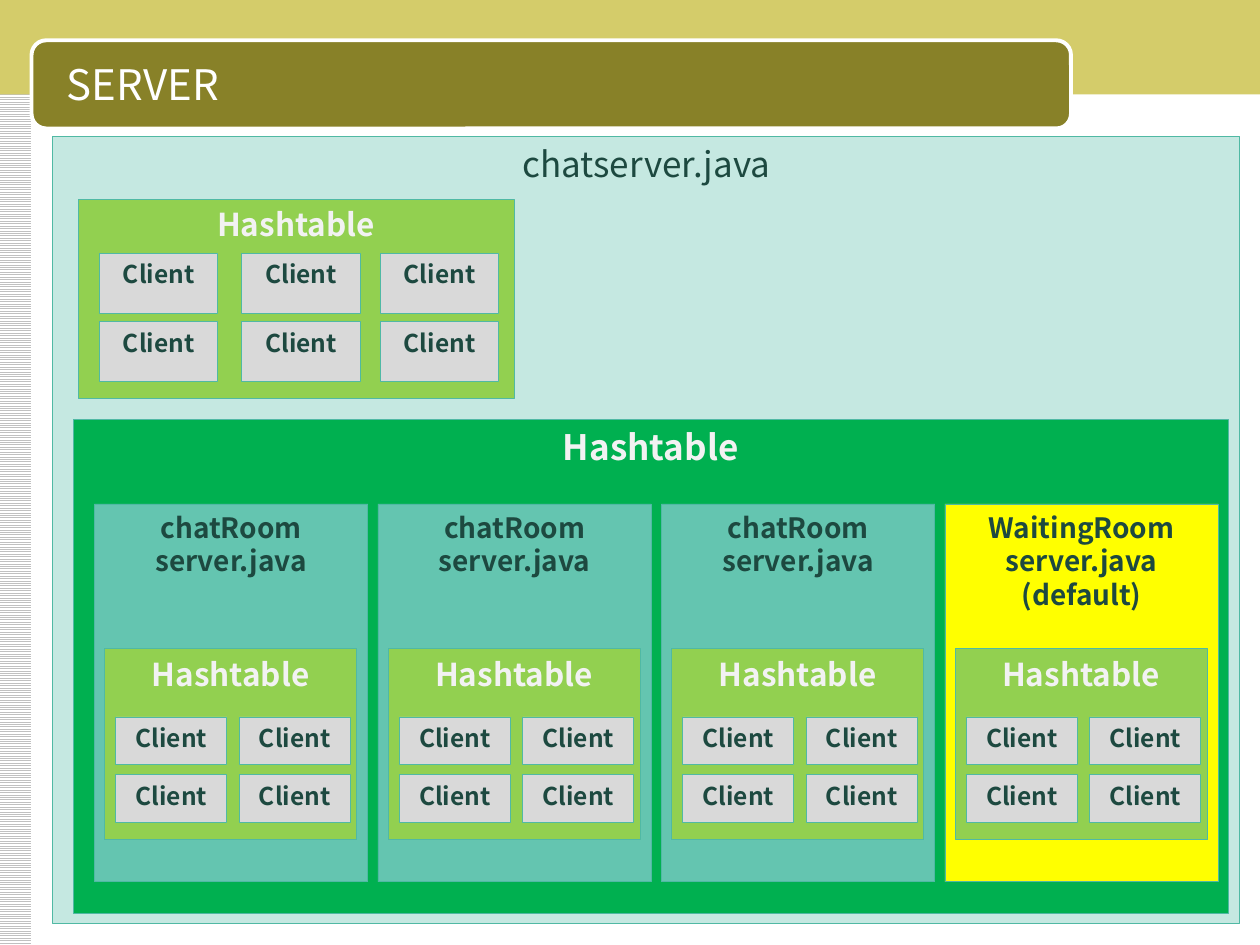
from dataclasses import dataclass
from pptx import Presentation
from pptx.dml.color import RGBColor
from pptx.enum.dml import MSO_PATTERN
from pptx.enum.shapes import MSO_SHAPE
from pptx.enum.text import MSO_ANCHOR, PP_ALIGN
from pptx.util import Inches, Pt

RECT, ROUNDED = MSO_SHAPE.RECTANGLE, MSO_SHAPE.ROUNDED_RECTANGLE
TOP, MIDDLE = MSO_ANCHOR.TOP, MSO_ANCHOR.MIDDLE
CENTER = PP_ALIGN.CENTER
STRIPES = MSO_PATTERN.LIGHT_HORIZONTAL


@dataclass(frozen=True)
class Theme:
    font: str = "Noto Sans CJK KR"
    white: str = "FFFFFF"
    stripe: str = "C0C0C0"
    band: str = "D4CC6A"
    title_bar: str = "888128"
    outline: str = "50B9A4"
    server: str = "C5E8E1"
    room_table: str = "00B050"
    room: str = "64C5B0"
    waiting_room: str = "FFFF00"
    client_table: str = "92D050"
    client: str = "D9D9D9"
    dark: str = "1D4940"
    light: str = "F2F2F2"
    title_size: int = 24
    heading_size: int = 20
    table_size: int = 18
    room_size: int = 16
    client_size: int = 14


THEME = Theme()


def rgb(value):
    return RGBColor.from_string(value)


def write(frame, lines, size, color, bold=False, align=None):
    for index, line in enumerate(lines):
        paragraph = frame.paragraphs[0] if index == 0 else frame.add_paragraph()
        paragraph.alignment = align
        run = paragraph.add_run()
        run.text = line
        run.font.name = THEME.font
        run.font.size = Pt(size)
        run.font.bold = bold
        run.font.color.rgb = rgb(color)


def add_box(shapes, box, fill, outline=None, weight=0.5, kind=RECT):
    shape = shapes.add_shape(kind, *map(Inches, box))
    shape.shadow.inherit = False
    shape.fill.solid()
    shape.fill.fore_color.rgb = rgb(fill)
    if outline:
        shape.line.color.rgb = rgb(outline)
        shape.line.width = Pt(weight)
    else:
        shape.line.fill.background()
    return shape


def add_block(shapes, box, fill, lines, size, color=THEME.dark, bold=True):
    frame = add_box(shapes, box, fill, THEME.outline).text_frame
    frame.word_wrap = False
    frame.vertical_anchor = TOP
    write(frame, lines, size, color, bold, CENTER)


def add_backdrop(shapes, width, height):
    stripes = add_box(shapes, (-0.01, 0, 0.26, height), THEME.white)
    stripes.fill.patterned()
    stripes.fill.pattern = STRIPES
    stripes.fill.fore_color.rgb = rgb(THEME.stripe)
    stripes.fill.back_color.rgb = rgb(THEME.white)
    add_box(shapes, (-0.01, 0, width + 0.02, 0.75), THEME.band)


def add_title(shapes, box, text):
    left, top, width, height = box
    add_box(shapes, box, THEME.title_bar, THEME.white, 2.25, ROUNDED)
    label = shapes.add_textbox(Inches(left + 0.08), Inches(top + 0.03),
                               Inches(width - 0.17), Inches(height - 0.08))
    frame = label.text_frame
    frame.word_wrap = True
    frame.margin_left = Inches(0.2)
    frame.vertical_anchor = MIDDLE
    write(frame, [text], THEME.title_size, THEME.white)


def add_client_table(shapes, box, columns, rows, client_size):
    """Columns and rows are client offsets from the table's corner."""
    left, top = box[:2]
    add_block(shapes, box, THEME.client_table, ["Hashtable"],
              THEME.table_size, THEME.light)
    for x in columns:
        for y in rows:
            add_block(shapes, (left + x, top + y, *client_size), THEME.client,
                      ["Client"], THEME.client_size)


def add_room(shapes, box, fill, lines):
    left, top = box[:2]
    add_block(shapes, box, fill, lines, THEME.room_size)
    table = shapes.add_group_shape().shapes
    add_client_table(table, (left + 0.08, top + 1.15, 2, 1.51),
                     (0.09, 1.07), (0.54, 1), (0.88, 0.38))


def add_room_table(shapes, box):
    left, top = box[:2]
    add_block(shapes, box, THEME.room_table, ["Hashtable"],
              THEME.heading_size, THEME.light)
    chat_room = (THEME.room, ["chatRoom", "server.java"])
    waiting_room = (THEME.waiting_room,
                    ["WaitingRoom", "server.java", "(default)"])
    for index, (fill, lines) in enumerate([chat_room] * 3 + [waiting_room]):
        room_box = (left + 0.17 + index * 2.25, top + 0.67, 2.17, 3)
        add_room(shapes, room_box, fill, lines)


def add_server(shapes, box):
    left, top = box[:2]
    add_block(shapes, box, THEME.server, ["chatserver.java"],
              THEME.heading_size, bold=False)
    add_client_table(shapes, (left + 0.2, top + 0.5, 3.46, 1.58),
                     (0.17, 1.3, 2.4), (0.43, 0.97), (0.94, 0.48))
    add_room_table(shapes, (left + 0.16, top + 2.25, 9.17, 3.92))


WIDTH, HEIGHT = 10, 7.5
deck = Presentation()
deck.slide_width, deck.slide_height = Inches(WIDTH), Inches(HEIGHT)
slide = deck.slides.add_slide(deck.slide_layouts[6])

add_backdrop(slide.shapes, WIDTH, HEIGHT)
add_title(slide.shapes, (0.25, 0.32, 8.25, 0.7), "SERVER")
add_server(slide.shapes, (0.42, 1.08, 9.42, 6.25))

deck.save("out.pptx")
